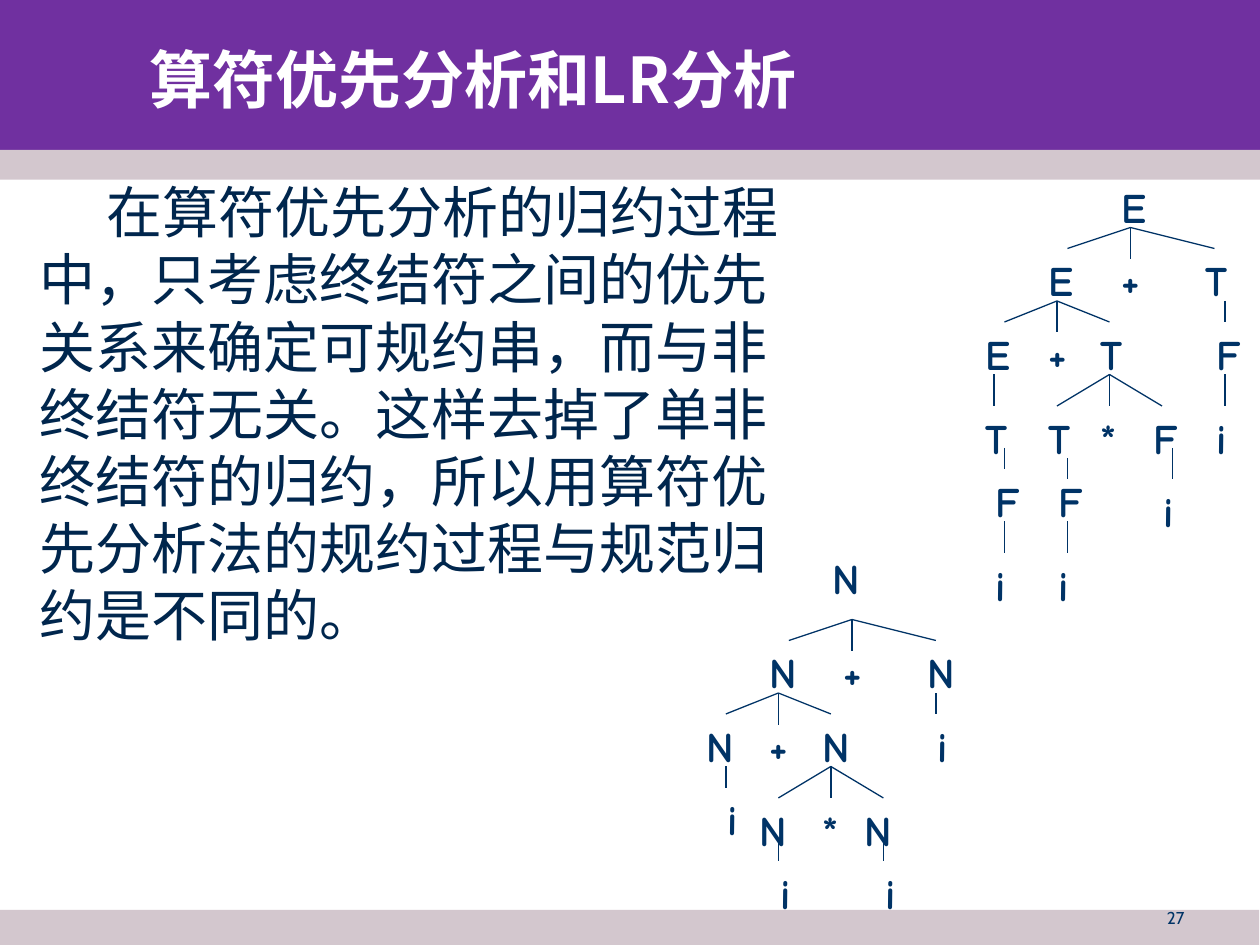
import pptx
import pptx.util
import pptx.dml.color
import pptx.enum.shapes
import pptx.enum.text
import pptx.oxml
import pptx.oxml.ns
from dataclasses import dataclass

Pt = pptx.util.Pt
Align = pptx.enum.text.PP_ALIGN
Anchor = pptx.enum.text.MSO_ANCHOR


@dataclass(frozen=True)
class Theme:
    purple: str = "7030A0"
    band: str = "D3C7CE"
    white: str = "FFFFFF"
    body: str = "00264D"
    navy: str = "003366"
    cjk: str = "Noto Sans CJK SC"
    latin: str = "Arial"
    hand: str = "Comic Neue"
    small: str = "Cabin"
    title_size: float = 36
    body_size: float = 32
    node_size: float = 24
    page_size: float = 9.8
    rule: float = 0.75


THEME = Theme()
UNIT = 6  # grid step of both trees

# Nodes: text, column, row, width. Forks: column, row, then the ends below.
SUM_NODES = [
    ("E", 13, 0, 5),
    ("E", 6, 7, 5), ("+", 13, 7, 5), ("T", 21, 7, 5),
    ("E", 0, 14, 5), ("+", 6, 14, 5), ("T", 11, 14, 5), ("F", 22, 14, 5),
    ("T", 0, 22, 5), ("T", 6, 22, 5), ("*", 11, 22, 5), ("F", 16, 22, 5),
    ("i", 22, 22, 5),
    ("F", 1, 28, 5), ("F", 7, 28, 5), ("i", 17, 29, 5),
    ("i", 1, 36, 5), ("i", 7, 36, 5),
]
SUM_FORKS = [
    (15, 5, [(9, 7), (15, 8), (23, 7)]),
    (8, 12, [(3, 14), (8, 15), (13, 14)]),
    (13, 19, [(8, 22), (13, 22), (18, 22)]),
    (24, 12, [(24, 14)]), (24, 19, [(24, 22)]), (2, 19, [(2, 22)]),
    (3, 26, [(3, 28)]), (9, 27, [(9, 29)]), (19, 26, [(19, 29)]),
    (3, 33, [(3, 36)]), (9, 33, [(9, 36)]),
]
N_NODES = [
    ("N", 12, 0, 6),
    ("N", 6, 9, 5), ("+", 13, 9, 5), ("N", 21, 9, 5),
    ("N", 0, 16, 5), ("+", 6, 16, 5), ("N", 11, 16, 5), ("i", 22, 16, 5),
    ("i", 2, 23, 5), ("N", 5, 24, 6), ("*", 11, 24, 5), ("N", 15, 24, 6),
    ("i", 7, 30, 5), ("i", 17, 30, 5),
]
N_FORKS = [
    (15, 7, [(9, 9), (15, 10), (23, 9)]),
    (8, 14, [(3, 16), (8, 17), (13, 16)]),
    (13, 21, [(8, 24), (13, 24), (18, 24)]),
    (23, 14, [(23, 16)]), (3, 21, [(3, 23)]),
    (8, 28, [(8, 30)]), (18, 28, [(18, 30)]),
]


def tint(code):
    return pptx.dml.color.RGBColor.from_string(code)


def band(slide, left, top, width, height, color):
    kind = pptx.enum.shapes.MSO_SHAPE.RECTANGLE
    shape = slide.shapes.add_shape(kind, Pt(left), Pt(top), Pt(width), Pt(height))
    shape.shadow.inherit = False
    shape.fill.solid()
    shape.fill.fore_color.rgb = tint(color)
    shape.line.fill.background()


def label(slide, box, anchor=Anchor.TOP):
    """Add a wrapping text box and return its first paragraph."""
    shape = slide.shapes.add_textbox(*map(Pt, box))
    frame = shape.text_frame
    frame.word_wrap = True
    frame.vertical_anchor = anchor
    return frame.paragraphs[0]


def write(para, text, font, size, color, bold=False):
    run = para.add_run()
    run.text = text
    run.font.name = font
    run.font.size = Pt(size)
    run.font.bold = bold
    run.font.color.rgb = tint(color)
    east = pptx.oxml.parse_xml(
        f'<a:ea {pptx.oxml.ns.nsdecls("a")} typeface="{THEME.cjk}"/>')
    run.font._element.find(pptx.oxml.ns.qn("a:latin")).addnext(east)


def edge(slide, start, end):
    kind = pptx.enum.shapes.MSO_CONNECTOR.STRAIGHT
    line = slide.shapes.add_connector(kind, *map(Pt, start + end))
    line.line.color.rgb = tint(THEME.navy)
    line.line.width = Pt(THEME.rule)
    line._element.spPr.append(pptx.oxml.parse_xml(
        f'<a:effectLst {pptx.oxml.ns.nsdecls("a")}/>'))


def tree(slide, left, top, nodes, forks):
    def spot(col, row):
        return left + col * UNIT, top + row * UNIT

    for text, col, row, width in nodes:
        para = label(slide, (*spot(col, row), width * UNIT, 36))
        write(para, text, THEME.hand, THEME.node_size, THEME.navy, True)
    for col, row, ends in forks:
        for end in ends:
            edge(slide, spot(col, row), spot(*end))


def prose(slide):
    para = label(slide, (-11.5, 98, 465, 338))
    para.line_spacing = Pt(38.4)
    props = para._p.get_or_add_pPr()
    props.set("marL", str(Pt(27)))
    props.set("indent", str(Pt(38)))
    for text, font in [
        ("在", THEME.latin),
        ("算符优先分析", THEME.cjk),
        ("的归约过程中，只考虑终结符之间的优先关系来确定可规约串，"
         "而与非终结符无关。这样去掉了单非终结符的归约，"
         "所以用算符优先分析法的规约过程与规范归约是不同的。", THEME.latin),
    ]:
        write(para, text, font, THEME.body_size, THEME.body)


def main():
    deck = pptx.Presentation()
    deck.slide_width, deck.slide_height = Pt(720), Pt(540)
    slide = deck.slides.add_slide(deck.slide_layouts[6])

    band(slide, 0, 0, 720, 94.5, THEME.purple)
    band(slide, 0, 85.7, 720, 17, THEME.band)
    band(slide, 0, 520, 719.5, 21.5, THEME.band)

    page = label(slide, (516, 517, 168, 22.5))
    page.alignment = Align.RIGHT
    page.line_spacing = 0.8
    write(page, "27", THEME.small, THEME.page_size, THEME.navy)

    title = label(slide, (78.5, 11.5, 610.5, 66), Anchor.MIDDLE)
    write(title, "算符优先分析和LR分析", THEME.cjk, THEME.title_size, THEME.white, True)

    prose(slide)
    tree(slide, 556, 100, SUM_NODES, SUM_FORKS)
    tree(slide, 396.8, 312, N_NODES, N_FORKS)
    deck.save("out.pptx")


if __name__ == "__main__":
    main()
